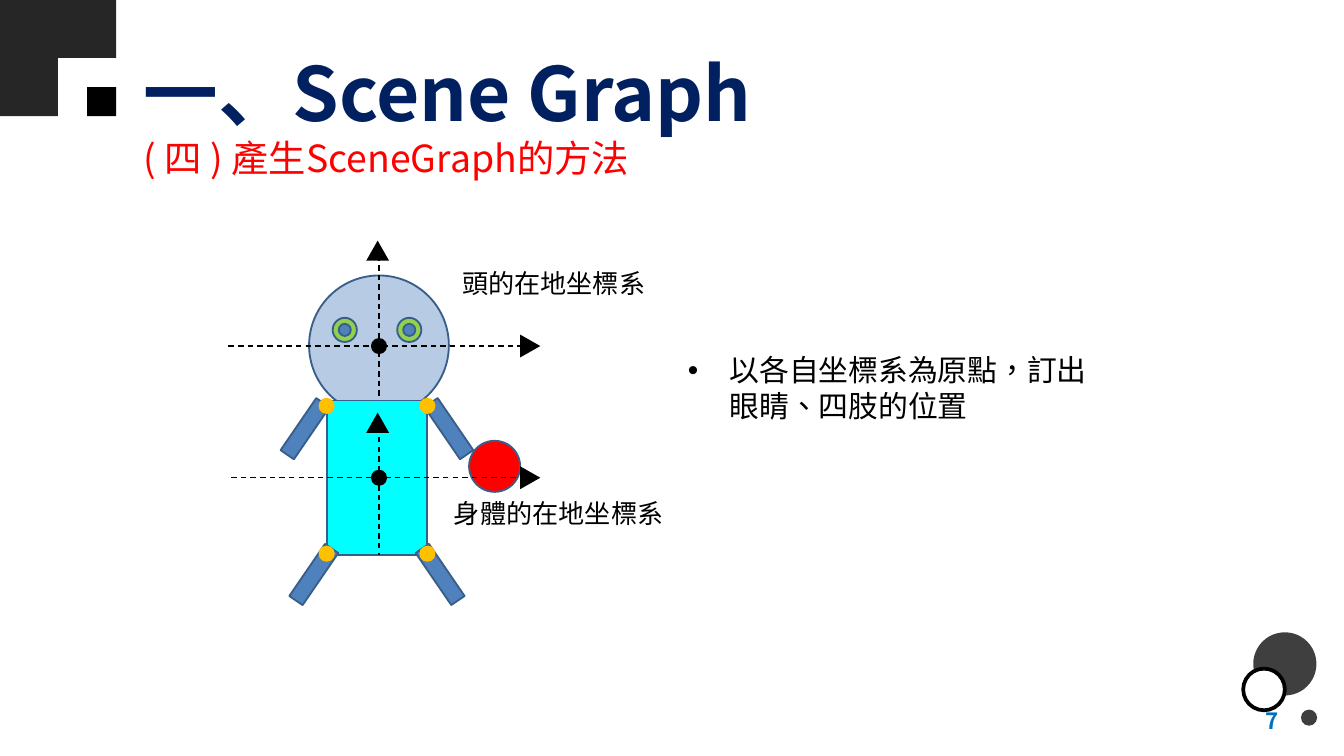
"""Build the Scene Graph slide with a figure and its local coordinate systems."""
from lxml import etree
from pptx import Presentation
from pptx.dml.color import RGBColor
from pptx.enum.dml import MSO_LINE
from pptx.enum.lang import MSO_LANGUAGE_ID
from pptx.enum.shapes import MSO_CONNECTOR, MSO_SHAPE
from pptx.enum.text import MSO_ANCHOR, PP_ALIGN
from pptx.oxml.ns import qn
from pptx.util import Inches, Pt

RECT, OVAL, TRIANGLE = MSO_SHAPE.RECTANGLE, MSO_SHAPE.OVAL, MSO_SHAPE.ISOSCELES_TRIANGLE
STRAIGHT, DASH = MSO_CONNECTOR.STRAIGHT, MSO_LINE.DASH
TOP, MIDDLE = MSO_ANCHOR.TOP, MSO_ANCHOR.MIDDLE
LEFT, RIGHT = PP_ALIGN.LEFT, PP_ALIGN.RIGHT
TRADITIONAL = MSO_LANGUAGE_ID.TRADITIONAL_CHINESE

CELL = Inches(0.1)
COLUMNS, ROWS = 100, 56.25
BODY_AXIS, HEAD_AXIS = 28.05, 28.2
LIMB_ANGLE = 34.4
CORNER = 4.32
TC, SC = "Noto Sans CJK TC", "Noto Sans CJK SC"

COLORS = {
    "corner": "262626", "bubble": "3F3F3F", "black": "000000", "white": "FFFFFF",
    "title": "002060", "subtitle": "FF0000", "number": "0070C0",
    "outline": "395E89", "head": "B7CCE4", "eye": "92D050", "limb": "4F81BD",
    "body": "00FFFF", "ball": "FF0000", "joint": "FFC000",
}
TEXT_FORMATS = {
    "title": {"font": {"name": TC, "size": Pt(40), "bold": True},
              "align": LEFT, "anchor": MIDDLE, "color": "title"},
    "subtitle": {"font": {"name": TC, "size": Pt(20)},
                 "align": LEFT, "anchor": TOP, "color": "subtitle"},
    "number": {"font": {"name": TC, "size": Pt(12), "bold": True},
               "align": RIGHT, "anchor": MIDDLE, "color": "number"},
    "note": {"font": {"name": SC, "size": Pt(16), "language_id": TRADITIONAL},
             "align": LEFT, "anchor": TOP, "color": "black"},
    "label": {"font": {"name": SC, "size": Pt(14), "language_id": TRADITIONAL},
              "align": LEFT, "anchor": TOP, "color": "black"},
}


def cells(*counts):
    """Turn counts of grid cells into slide lengths."""
    return [round(count * CELL) for count in counts]


def set_all(target, values):
    """Set each named attribute of the target."""
    for key, value in values.items():
        setattr(target, key, value)


def rgb(color):
    """Return the named colour."""
    return RGBColor.from_string(COLORS[color])


def add_part(slide, kind, center, size, fill, outline=None, weight=1, angle=0):
    """Add a filled preset shape around its centre."""
    (x, y), (width, height) = center, size
    part = slide.shapes.add_shape(
        kind, *cells(x - width / 2, y - height / 2, width, height))
    part.shadow.inherit = False
    part.rotation = angle
    part.fill.solid()
    part.fill.fore_color.rgb = rgb(fill)
    if outline:
        part.line.color.rgb = rgb(outline)
        part.line.width = Pt(weight)
    else:
        part.line.fill.background()


def add_disc(slide, center, diameter, fill, outline=None, weight=1):
    """Add a round shape around its centre."""
    add_part(slide, OVAL, center, (diameter, diameter), fill, outline, weight)


def add_pair(slide, kind, offset, row, size, fill, outline=None, angle=0):
    """Add two parts mirrored about the axis of the body."""
    for side in (-1, 1):
        add_part(slide, kind, (BODY_AXIS + side * offset, row), size, fill, outline,
                 angle=-side * angle)


def add_axis(slide, start, end):
    """Add a dashed coordinate axis."""
    axis = slide.shapes.add_connector(STRAIGHT, *cells(*start, *end))
    axis.line.color.rgb = rgb("black")
    axis.line.width = Pt(0.75)
    axis.line.dash_style = DASH
    etree.SubElement(axis._element.spPr, qn("a:effectLst"))


def add_coordinates(slide, origin_row, first_column, top, bottom, tip_row):
    """Add two crossing axes with their origin and tips."""
    add_axis(slide, (first_column, origin_row), (first_column + 21.8, origin_row))
    add_axis(slide, (HEAD_AXIS, top), (HEAD_AXIS, bottom))
    add_disc(slide, (HEAD_AXIS, origin_row), 1.2, "black")
    add_part(slide, TRIANGLE, (HEAD_AXIS - 0.1, tip_row), (1.7, 1.5), "black")
    add_part(slide, TRIANGLE, (39.45, origin_row), (1.7, 1.5), "black", angle=90)


def write(holder, text, style):
    """Write one formatted paragraph into a shape."""
    look = TEXT_FORMATS[style]
    set_all(holder.text_frame, {"word_wrap": True, "vertical_anchor": look["anchor"]})
    paragraph = holder.text_frame.paragraphs[0]
    paragraph.alignment = look["align"]
    run = paragraph.add_run()
    run.text = text
    set_all(run.font, look["font"])
    run.font.color.rgb = rgb(look["color"])
    etree.SubElement(run._r.rPr, qn("a:ea"), typeface=look["font"]["name"])
    return paragraph


def add_text(slide, place, text, style):
    """Add a text box on the grid."""
    return write(slide.shapes.add_textbox(*cells(*place)), text, style)


def add_bullet(paragraph, indent):
    """Give a paragraph a hanging bullet."""
    properties = paragraph._p.get_or_add_pPr()
    properties.set("marL", str(indent))
    properties.set("indent", str(-indent))
    etree.SubElement(properties, qn("a:buFont"), typeface="Arial")
    etree.SubElement(properties, qn("a:buChar"), char="•")


def add_decoration(slide):
    """Add the corner squares and the bubbles."""
    for column, row in ((0, 0), (1, 0), (0, 1)):
        add_part(slide, RECT, (CORNER * (column + 0.5), CORNER * (row + 0.5)),
                 (CORNER, CORNER), "corner")
    add_part(slide, RECT, (CORNER * 1.75, CORNER * 1.75), (CORNER / 2, CORNER / 2), "black")
    add_disc(slide, (95.6, 49.4), 4.7, "bubble")
    add_disc(slide, (97.4, 53.4), 1.2, "bubble")
    add_disc(slide, (94.05, 51.3), 3.1, "white", "black", 2)


def add_figure(slide):
    """Add the figure with its ball, axes and joints."""
    add_disc(slide, (HEAD_AXIS, 25.7), 10.4, "head", "outline")
    add_pair(slide, OVAL, 2.4, 24.55, (1.8, 1.8), "eye", "outline")
    add_pair(slide, OVAL, 2.4, 24.55, (0.9, 0.9), "limb", "outline")
    add_part(slide, RECT, (BODY_AXIS, 35.55), (7.5, 11.5), "body", "outline")
    for offset, row in ((4.7, 42.75), (5.35, 31.9)):
        add_pair(slide, RECT, offset, row, (1.2, 4.7), "limb", "outline", LIMB_ANGLE)
    add_disc(slide, (36.8, 34.7), 3.8, "ball", "outline")
    add_coordinates(slide, 25.75, 17, 18.3, 29.6, 18.65)
    add_coordinates(slide, 35.55, 17.2, 31.8, 41.3, 31.45)
    for row in (30.2, 41.2):
        add_pair(slide, OVAL, 3.75, row, (1.2, 1.2), "joint")


def main():
    """Build and save the slide."""
    deck = Presentation()
    deck.slide_width, deck.slide_height = cells(COLUMNS, ROWS)
    slide = deck.slides.add_slide(deck.slide_layouts.get_by_name("Title Only"))
    add_decoration(slide)
    add_text(slide, (72.8, 52.1, 23.3, 3), "7", "number")
    add_text(slide, (9.7, 9.6, 49.2, 4.4), "( 四 ) 產生SceneGraph的方法", "subtitle")
    title = slide.shapes.title
    set_all(title, dict(zip(("left", "top", "width", "height"),
                            cells(9.7, 2.1, 63.1, 9.4))))
    write(title, "一、Scene Graph", "title")
    add_figure(slide)
    note = add_text(slide, (50.2, 25.7, 33.2, 6.4),
                    "以各自坐標系為原點，訂出眼睛、四肢的位置", "note")
    add_bullet(note, Inches(0.31))
    add_text(slide, (33.4, 19.4, 16.3, 3.4), "頭的在地坐標系", "label")
    add_text(slide, (32.8, 36.5, 19.6, 3.4), "身體的在地坐標系", "label")
    deck.save("out.pptx")


if __name__ == "__main__":
    main()
